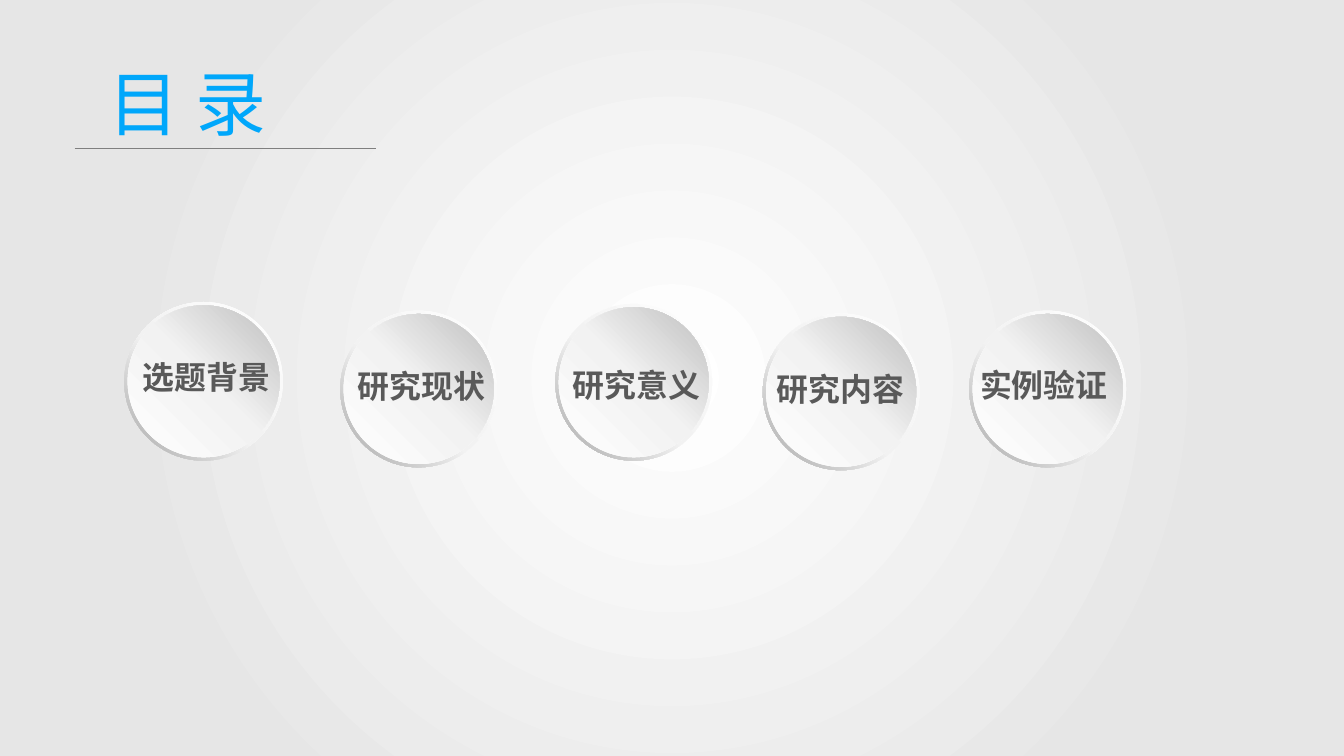
from pptx import Presentation, oxml, util as u
from pptx.dml.color import RGBColor
from pptx.enum import shapes, text
from pptx.oxml import ns

FONT = "Noto Sans CJK SC"
BLUE = RGBColor(0x00, 0xA7, 0xFB)
DARK = RGBColor(0x59, 0x59, 0x59)
GRAY = RGBColor(0x7F, 0x7F, 0x7F)
WHITE = RGBColor(0xFF, 0xFF, 0xFF)
PALE = RGBColor(0xF2, 0xF2, 0xF2)
EDGE = RGBColor(0xE6, 0xE6, 0xE6)
SILVER = RGBColor(0xBF, 0xBF, 0xBF)
STEEL = RGBColor(0xA6, 0xA6, 0xA6)

WIDTH, HEIGHT = 14.06, 7.91
RADIAL = ('<a:path path="circle">'
          '<a:fillToRect l="50000" t="50000" r="50000" b="50000"/></a:path>')
LABEL_WIDTH, LABEL_HEIGHT = 1.72, 0.4
RIM = 0.035

# Caption, disc left, top and diameter, label left and top
TOPICS = [
    ("选题背景", 1.3, 3.16, 1.66, 1.3, 3.74),
    ("研究现状", 3.56, 3.25, 1.64, 3.55, 3.84),
    ("研究意义", 5.81, 3.18, 1.64, 5.8, 3.83),
    ("研究内容", 7.98, 3.28, 1.64, 7.93, 3.87),
    ("实例验证", 10.14, 3.25, 1.64, 10.06, 3.83),
]


def linear(degrees):
    return f'<a:lin ang="{degrees * 60000}" scaled="0"/>'


class AgendaPage:
    def __init__(self, deck):
        self.page = deck.slides.add_slide(deck.slide_layouts[5])

    def shape(self, parent, kind, place, stops, direction):
        shape = parent.add_shape(kind, *map(u.Inches, place))
        shape.shadow.inherit = False
        shape.line.fill.background()
        marks = "".join(
            f'<a:gs pos="{pos * 1000}"><a:srgbClr val="{color}"/></a:gs>'
            for pos, color in stops)
        fill = oxml.parse_xml(
            f'<a:gradFill {ns.nsdecls("a")} rotWithShape="1">'
            f'<a:gsLst>{marks}</a:gsLst>{direction}</a:gradFill>')
        shape.element.spPr.find(ns.qn("a:prstGeom")).addnext(fill)
        return shape

    def backdrop(self):
        shape = self.shape(self.page.shapes, shapes.MSO_SHAPE.RECTANGLE,
                           (0, 0, WIDTH, HEIGHT),
                           [(0, WHITE), (73, EDGE)], RADIAL)
        self.page.shapes.element.insert(2, shape.element)

    def set_text(self, box, words, align, margins, size, color, bold=False):
        frame = box.text_frame
        side, end = map(u.Inches, margins)
        layout = {"word_wrap": True, "auto_size": text.MSO_AUTO_SIZE.NONE,
                  "vertical_anchor": text.MSO_ANCHOR.MIDDLE,
                  "margin_left": side, "margin_right": side,
                  "margin_top": end, "margin_bottom": end}
        for name, value in layout.items():
            setattr(frame, name, value)
        para = frame.paragraphs[0]
        para.alignment = align
        span = para.add_run()
        span.text = words
        style = {"name": FONT, "size": u.Pt(size), "bold": bold}
        for name, value in style.items():
            setattr(span.font, name, value)
        span.font.color.rgb = color
        # East Asian typeface follows the Latin one
        latin = span.font._element.find(ns.qn("a:latin"))
        latin.addnext(oxml.parse_xml(
            f'<a:ea {ns.nsdecls("a")} typeface="{FONT}"/>'))

    def title(self, words, place):
        box = self.page.shapes.title
        for name, value in zip(("left", "top", "width", "height"), place):
            setattr(box, name, u.Inches(value))
        self.set_text(box, words, text.PP_ALIGN.LEFT, (0.09, 0.04), 53.4, BLUE)

    def rule(self, left, right, top):
        line = self.page.shapes.add_connector(
            shapes.MSO_CONNECTOR.STRAIGHT,
            *map(u.Inches, (left, top, right, top)))
        line.line.color.rgb = GRAY
        line.line.width = u.Pt(0.75)
        line.element.spPr.append(
            oxml.parse_xml(f'<a:effectLst {ns.nsdecls("a")}/>'))

    def disc(self, left, top, size):
        group = self.page.shapes.add_group_shape().shapes
        ring = self.shape(group, shapes.MSO_SHAPE.DONUT,
                          (left, top, size, size),
                          [(0, WHITE), (55, PALE), (100, STEEL)], linear(135))
        ring.adjustments[0] = 0.049
        inner = size - 2 * RIM
        self.shape(group, shapes.MSO_SHAPE.OVAL,
                   (left + RIM, top + RIM, inner, inner),
                   [(0, WHITE), (51, PALE), (100, SILVER)], linear(315))

    def label(self, words, left, top):
        box = self.page.shapes.add_textbox(
            *map(u.Inches, (left, top, LABEL_WIDTH, LABEL_HEIGHT)))
        self.set_text(box, words, text.PP_ALIGN.CENTER, (0, 0), 24, DARK, True)


def main():
    deck = Presentation()
    deck.slide_width, deck.slide_height = u.Inches(WIDTH), u.Inches(HEIGHT)
    agenda = AgendaPage(deck)

    # Background and heading
    agenda.backdrop()
    agenda.title("目 录", (1.05, 0.57, 2.93, 0.99))
    agenda.rule(0.78, 3.93, 1.55)

    # Topic buttons
    for words, left, top, size, label_left, label_top in TOPICS:
        agenda.disc(left, top, size)
        agenda.label(words, label_left, label_top)

    deck.save("out.pptx")


if __name__ == "__main__":
    main()
